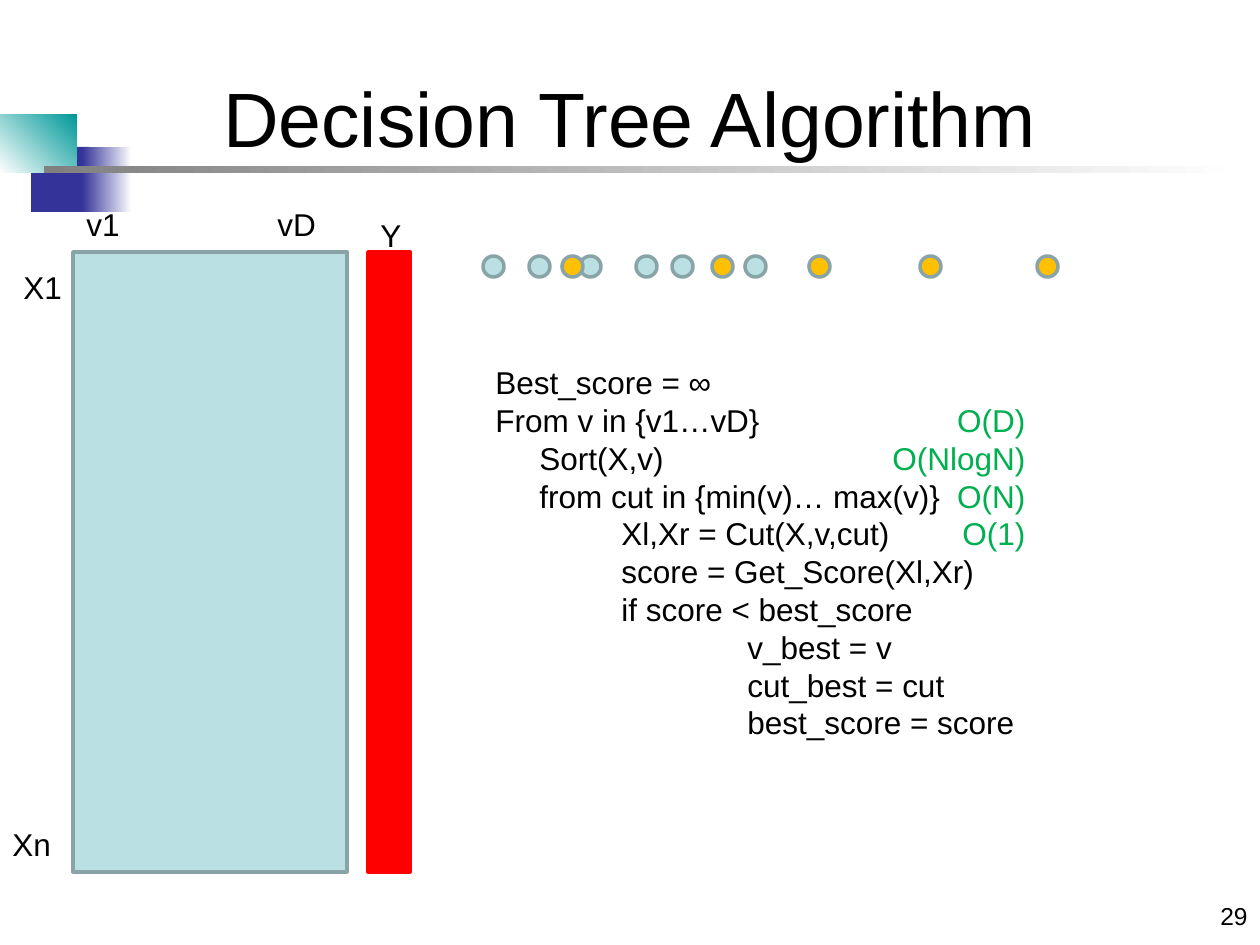
from lxml.etree import SubElement
from pptx import Presentation
from pptx.dml.color import RGBColor
from pptx.enum.shapes import MSO_SHAPE as Shape
from pptx.enum.text import MSO_ANCHOR as Anchor, PP_ALIGN as Align
from pptx.oxml.ns import qn
from pptx.util import Emu, Pt

PX = 914400 / 126
COLORS = {
    "black": "000000", "white": "FFFFFF", "gray": "808080",
    "navy": "333399", "teal": "009999", "pale": "BBE0E3",
    "outline": "89A4A7", "red": "FF0000", "gold": "FFC000", "green": "00B050",
}

# Code lines: indent level, code, cost
CODE = [
    (0, "Best_score = ∞", ""),
    (0, "From v in {v1…vD}", "O(D)"),
    (1, "Sort(X,v)", "O(NlogN)"),
    (1, "from cut in {min(v)… max(v)}", "O(N)"),
    (2, "Xl,Xr = Cut(X,v,cut)", "O(1)"),
    (2, "score = Get_Score(Xl,Xr)", ""),
    (2, "if score < best_score", ""),
    (3, "v_best = v", ""),
    (3, "cut_best = cut", ""),
    (3, "best_score = score", ""),
]
INDENTS = [0, 44, 126, 252]
COST_EDGE = 530

PALE_DOTS = [483, 529, 580, 636, 672, 745]
GOLD_DOTS = [809, 562, 712, 920, 1037]
DOT_TOP, DOT_SIZE = 256, 21


def px(length):
    return Emu(round(length * PX))


def color(name):
    return RGBColor.from_string(COLORS[name])


def add_tabs(paragraph, stops):
    tab_list = SubElement(paragraph._p.get_or_add_pPr(), qn("a:tabLst"))
    for position, side in stops:
        SubElement(tab_list, qn("a:tab"), pos=str(px(position)), algn=side)


def add_run(paragraph, text, size=18, fill="black"):
    run = paragraph.add_run()
    run.text = text
    run.font.name = "Arial"
    run.font.size = Pt(size)
    run.font.color.rgb = color(fill)


def add_box(slide, box, anchor=Anchor.TOP):
    frame = slide.shapes.add_textbox(*map(px, box)).text_frame
    frame.word_wrap = True
    frame.vertical_anchor = anchor
    return frame


def add_text(slide, text, box, size=18, align=Align.LEFT, anchor=Anchor.TOP, tabs=()):
    paragraph = add_box(slide, box, anchor).paragraphs[0]
    paragraph.alignment = align
    if tabs:
        add_tabs(paragraph, tabs)
    add_run(paragraph, text, size)


def add_shape(slide, box, fill, line=None, kind=Shape.RECTANGLE):
    shape = slide.shapes.add_shape(kind, *map(px, box))
    shape.shadow.inherit = False
    shape.fill.solid()
    shape.fill.fore_color.rgb = color(fill)
    if line:
        shape.line.color.rgb = color(line)
        shape.line.width = Pt(2)
    else:
        shape.line.fill.background()
    return shape


def add_gradient(slide, box, start, end, angle=0):
    fill = add_shape(slide, box, start).fill
    fill.gradient()
    fill.gradient_angle = angle
    for stop, name, position in zip(fill.gradient_stops, (start, end), (0, 1)):
        stop.color.rgb = color(name)
        stop.position = position


def add_code(slide, box):
    frame = add_box(slide, box)
    for index, (level, code, cost) in enumerate(CODE):
        paragraph = frame.add_paragraph() if index else frame.paragraphs[0]
        stops = [(INDENTS[level], "l")] if level else []
        if cost:
            stops.append((COST_EDGE, "r"))
        if stops:
            add_tabs(paragraph, stops)
        add_run(paragraph, "\t" + code if level else code)
        if cost:
            add_run(paragraph, "\t" + cost, fill="green")


def main():
    presentation = Presentation()
    presentation.slide_width, presentation.slide_height = px(1260), px(945)
    slide = presentation.slides.add_slide(presentation.slide_layouts[6])

    # Page number and corner decoration
    add_text(slide, "29", (1134, 895, 126, 42), size=14, align=Align.RIGHT)
    add_shape(slide, (31, 147, 58, 65), "navy")
    add_gradient(slide, (82, 147, 50, 65), "navy", "white")
    add_gradient(slide, (0, 115, 77, 58), "white", "teal", angle=45)
    add_gradient(slide, (44, 166, 1198, 7), "gray", "white")

    # Title
    add_text(slide, "Decision Tree Algorithm", (63, 38, 1134, 157), size=44,
             align=Align.CENTER, anchor=Anchor.MIDDLE)

    # Data matrix and target column
    add_shape(slide, (73, 252, 274, 620), "pale", "outline")
    add_text(slide, "X1", (11, 262, 64, 50))
    add_text(slide, "Xn", (0, 819, 73, 50))
    add_text(slide, "v1\tvD", (74, 199, 272, 50), tabs=[(191, "l")])
    add_shape(slide, (368, 252, 42, 620), "red", "red")
    add_text(slide, "Y", (368, 210, 42, 50))

    # Sorted samples of two classes
    for fill, lefts in (("pale", PALE_DOTS), ("gold", GOLD_DOTS)):
        for left in lefts:
            add_shape(slide, (left, DOT_TOP, DOT_SIZE, DOT_SIZE), fill,
                      "outline", Shape.OVAL)

    # Pseudocode with costs
    add_code(slide, (483, 357, 575, 391))

    presentation.save("out.pptx")


if __name__ == "__main__":
    main()
